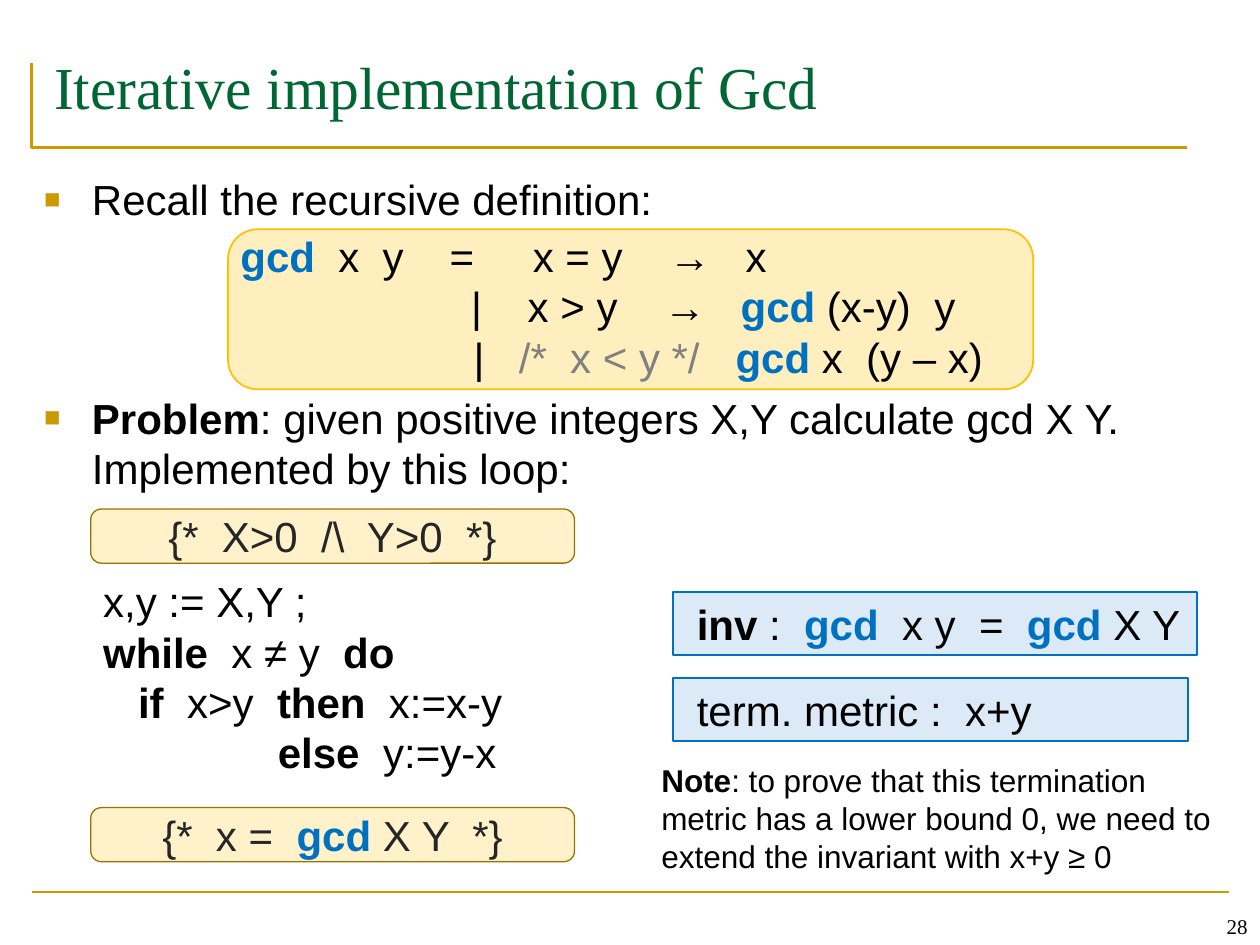
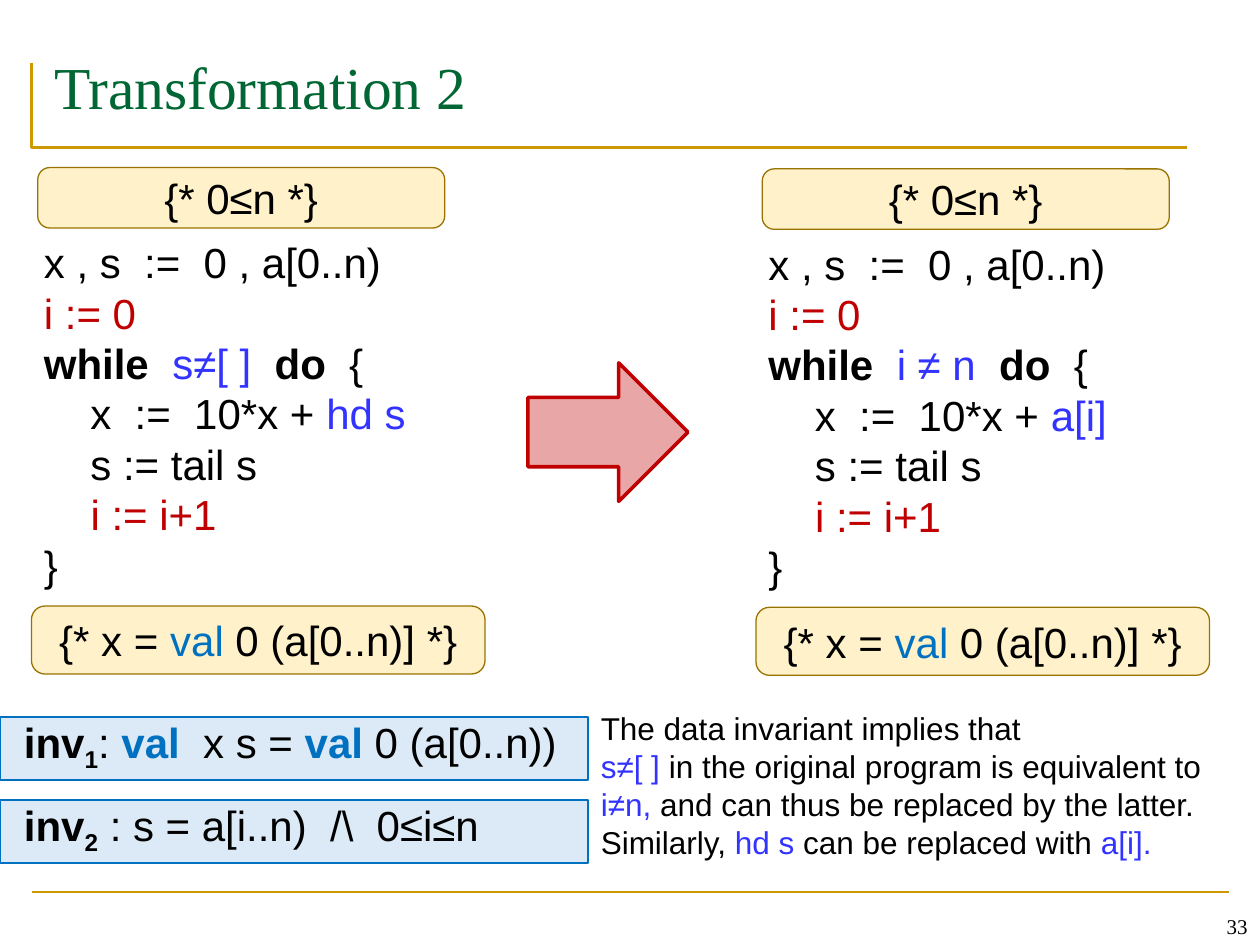
from lxml import etree
from pptx import Presentation
from pptx import util as u
from pptx.dml.color import RGBColor
from pptx.enum import shapes, text
from pptx.oxml import ns

# Colours and fonts
BLACK = RGBColor(0x00, 0x00, 0x00)
DARK = RGBColor(0x26, 0x26, 0x26)
GREY = RGBColor(0x80, 0x80, 0x80)
GREEN = RGBColor(0x00, 0x66, 0x33)
GOLD = RGBColor(0xCC, 0x99, 0x00)
AMBER = RGBColor(0xFF, 0xC0, 0x00)
SAND = RGBColor(0xFF, 0xD1, 0x47)
BROWN = RGBColor(0x99, 0x73, 0x00)
BLUE = RGBColor(0x00, 0x70, 0xC0)
INDIGO = RGBColor(0x33, 0x33, 0xFF)
RED = RGBColor(0xC0, 0x00, 0x00)
SANS, SERIF = "Arial", "Times New Roman"
LEADING = 1.2

# Span styles: colour, bold, subscript
STYLES = {
    "plain": (BLACK, False, False),
    "bold": (BLACK, True, False),
    "sub": (BLACK, True, True),
    "dark": (DARK, False, False),
    "grey": (GREY, False, False),
    "call": (BLUE, True, False),
    "value": (BLUE, False, False),
    "changed": (INDIGO, False, False),
    "added": (RED, False, False),
}

# Looks of filled shapes: fill, opacity in percent, line, line width
DEFINITION = (AMBER, 25, AMBER, 1)
ASSERTION = (SAND, 29, BROWN, 0.75)
INVARIANT = (BLUE, 14, BLUE, 1)
ARROW = (RED, 35, RED, 2)

# Slide 28: a paragraph is a list of (text, style) spans, or one plain string
GCD_BULLETS = [
    ["Recall the recursive definition:"],
    [("Problem", "bold"), ": given positive integers X,Y calculate gcd X Y. "
     "Implemented by this loop:"],
]
GCD_BULLET_GAP = 96
GCD_DEFINITION = [
    [("gcd", "call"), "  x  y\t=\tx = y\t→\tx"],
    ["\t|\tx > y\t→\t", ("gcd", "call"), " (x-y)  y"],
    ["\t|\t", ("/*  x < y */", "grey"), "\t", ("gcd", "call"), " x  (y – x)"],
]
GCD_TABS = [(1.66, 2.32, 3.4, 4.01), (1.83, 2.28, 3.36, 3.97), (1.85, 2.21, 3.93)]
GCD_ASSERTIONS = [
    (4.04, [[("{*  X>0  /\\  Y>0  *}", "dark")]]),
    (6.41, [[("{*  x =  ", "dark"), ("gcd", "call"), (" X Y  *}", "dark")]]),
]
GCD_LOOP = [
    ["x,y := X,Y ;"],
    [("while", "bold"), "  x ≠ y  ", ("do", "bold")],
    [("   if", "bold"), "  x>y  ", ("then", "bold"), "  x:=x-y"],
    [("               else", "bold"), "  y:=y-x"],
]
GCD_INVARIANTS = [
    (4.7, 4.16, [[("inv", "bold"), " :  ", ("gcd", "call"), "  x y  =  ",
                  ("gcd", "call"), " X Y"]]),
    (5.38, 4.09, [["term. metric :  x+y"]]),
]
GCD_NOTE = [[("Note", "bold"), ": to prove that this termination metric has a lower "
             "bound 0, we need to extend the invariant with x+y ≥ 0"]]

# Slide 33: the two programs differ only in the guard and in the digit read
PROGRAMS = [  # left, top shift, guard, digit
    (0.25, 0, "s≠[ ]  ", "hd s"),
    (6, 0.01, "i ≠ n  ", "a[i]"),
]
PRECONDITION = [["{* 0≤n *}"]]
POSTCONDITION = [["{* x = ", ("val", "value"), " 0 (a[0..n)] *}"]]
ARRAY_INVARIANTS = [
    (5.69, [[("inv", "bold"), ("1", "sub"), ": ", ("val", "call"), "  x s = ",
             ("val", "call"), " 0 (a[0..n))"]]),
    (6.35, [[("inv", "bold"), ("2", "sub"), " : s = a[i..n)  /\\  0≤i≤n"]]),
]
ARRAY_NOTE = [
    ["The data invariant implies that"],
    [("s≠[ ] ", "changed"), "in the original program is equivalent to ",
     ("i≠n, ", "changed"), "and can thus be replaced by the latter. Similarly, ",
     ("hd s", "changed"), " can be replaced with ", ("a[i].", "changed")],
]


def program_lines(guard, digit):
    return [
        ["x , s  :=  0 , a[0..n)"],
        [("i := 0", "added")],
        [("while  ", "bold"), (guard, "changed"), ("do", "bold"), "  {"],
        ["    x  :=  10*x + ", (digit, "changed")],
        ["    s := tail s"],
        ["    ", ("i := i+1", "added")],
        ["}"],
    ]


def inches(*lengths):
    return [u.Inches(length) for length in lengths]


def style_font(font, name, size, colour, bold=False):
    font.name, font.size, font.bold = name, u.Pt(size), bold
    font.color.rgb = colour


def add_child(parent, tag, **attributes):
    child = etree.SubElement(parent, ns.qn(tag))
    for key, value in attributes.items():
        child.set(key, str(value))
    return child


def write_spans(para, spans, size):
    for span in spans:
        words, style = (span, "plain") if isinstance(span, str) else span
        colour, bold, subscript = STYLES[style]
        run = para.add_run()
        run.text = words
        style_font(run.font, SANS, size, colour, bold)
        if subscript:
            run._r.get_or_add_rPr().set("baseline", "-25000")
    para.line_spacing = u.Pt(size * LEADING)


def write_paragraphs(frame, paragraphs, size=24, align=text.PP_ALIGN.LEFT):
    for number, spans in enumerate(paragraphs):
        para = frame.add_paragraph() if number else frame.paragraphs[0]
        para.alignment = align
        write_spans(para, spans, size)


def add_text(page, place, paragraphs, size=24, wrap=False):
    box = page.shapes.add_textbox(*inches(*place))
    box.text_frame.word_wrap = wrap
    write_paragraphs(box.text_frame, paragraphs, size)
    return box


def add_panel(page, preset, place, look):
    fill, opacity, line, width = look
    panel = page.shapes.add_shape(preset, *inches(*place))
    panel.shadow.inherit = False
    panel.fill.solid()
    panel.fill.fore_color.rgb = fill
    colour = panel._element.spPr.find(ns.qn("a:solidFill"))[0]
    add_child(colour, "a:alpha", val=opacity * 1000)
    panel.line.color.rgb = line
    panel.line.width = u.Pt(width)
    return panel


def add_assertion(page, place, paragraphs):
    panel = add_panel(page, shapes.MSO_SHAPE.ROUNDED_RECTANGLE, place, ASSERTION)
    panel.adjustments[0] = 0.2
    panel.text_frame.vertical_anchor = text.MSO_ANCHOR.MIDDLE
    write_paragraphs(panel.text_frame, paragraphs, align=text.PP_ALIGN.CENTER)


def add_invariant(page, place, paragraphs):
    panel = add_panel(page, shapes.MSO_SHAPE.RECTANGLE, place, INVARIANT)
    frame = panel.text_frame
    frame.vertical_anchor = text.MSO_ANCHOR.TOP
    frame.margin_left, frame.margin_right = inches(0.19, 0)
    write_paragraphs(frame, paragraphs)


def add_bullets(body, paragraphs, gap):
    body.left, body.top, body.width, body.height = inches(0.25, 1.33, 9.5, 5.67)
    frame = body.text_frame
    frame.auto_size = text.MSO_AUTO_SIZE.NONE
    for number, spans in enumerate(paragraphs):
        para = frame.add_paragraph() if number else frame.paragraphs[0]
        props = para._p.get_or_add_pPr()
        props.set("marL", str(u.Inches(0.38)))
        props.set("indent", str(-u.Inches(0.38)))
        add_child(add_child(props, "a:buClr"), "a:srgbClr", val=GOLD)
        add_child(props, "a:buSzPct", val=65000)
        add_child(props, "a:buFont", typeface=SANS)
        add_child(props, "a:buChar", char="■")
        para.space_before = u.Pt(gap if number else 0)
        write_spans(para, spans, 24)


def start_page(deck, layout, heading, number):
    """Add a slide with the shared title, rules and slide number."""
    page = deck.slides.add_slide(deck.slide_layouts[layout])

    # Corner rule and footer rule
    outline = page.shapes.build_freeform(*inches(0.25, 0.5))
    outline.add_line_segments([inches(0.25, 1.17), inches(9.42, 1.17)], close=False)
    corner = outline.convert_to_shape()
    corner.shadow.inherit = False
    corner.fill.background()
    footer = page.shapes.add_connector(
        shapes.MSO_CONNECTOR.STRAIGHT, *inches(0.25, 7.08, 9.75, 7.08))
    add_child(footer._element.spPr, "a:effectLst")
    for rule in (corner, footer):
        rule.line.color.rgb = GOLD
        rule.line.width = u.Pt(1.5)

    # Title
    title = page.shapes.title
    title.left, title.top, title.width, title.height = inches(0.33, 0.3, 9.33, 0.86)
    frame = title.text_frame
    frame.text = heading
    frame.auto_size = text.MSO_AUTO_SIZE.NONE
    frame.vertical_anchor = text.MSO_ANCHOR.MIDDLE
    frame.margin_bottom = u.Inches(0.15)
    frame.paragraphs[0].alignment = text.PP_ALIGN.LEFT
    style_font(frame.paragraphs[0].runs[0].font, SERIF, 34, GREEN)

    # Slide number
    frame = page.shapes.add_textbox(*inches(7.67, 7, 2.33, 0.5)).text_frame
    frame.word_wrap = True
    frame.vertical_anchor = text.MSO_ANCHOR.BOTTOM
    frame.text = number
    frame.paragraphs[0].alignment = text.PP_ALIGN.RIGHT
    style_font(frame.paragraphs[0].runs[0].font, SERIF, 12, BLACK)
    return page


def build_gcd(deck):
    page = start_page(deck, 1, "Iterative implementation of Gcd", "28")
    add_bullets(page.placeholders[1], GCD_BULLETS, GCD_BULLET_GAP)

    # Recursive definition, its columns held by tab stops
    panel = add_panel(page, shapes.MSO_SHAPE.ROUNDED_RECTANGLE,
                      (1.81, 1.82, 6.39, 1.27), DEFINITION)
    panel.adjustments[0] = 0.185
    box = add_text(page, (1.81, 1.78, 6.39, 1.31), GCD_DEFINITION, wrap=True)
    for para, stops in zip(box.text_frame.paragraphs, GCD_TABS):
        tabs = add_child(para._p.get_or_add_pPr(), "a:tabLst")
        for stop in stops:
            add_child(tabs, "a:tab", pos=u.Inches(stop), algn="l")

    # Annotated loop
    for top, paragraphs in GCD_ASSERTIONS:
        add_assertion(page, (0.72, top, 3.84, 0.43), paragraphs)
    add_text(page, (0.72, 4.52, 3.58, 1.72), GCD_LOOP)

    # Invariant, metric and note
    for top, width, paragraphs in GCD_INVARIANTS:
        add_invariant(page, (5.34, top, width, 0.5), paragraphs)
    add_text(page, (5.15, 5.99, 4.72, 1.01), GCD_NOTE, size=18, wrap=True)


def build_transformation(deck):
    page = start_page(deck, 5, "Transformation 2", "33")

    # Programs before and after, with the arrow between them
    for left, shift, guard, digit in PROGRAMS:
        add_assertion(page, (left + 0.05, 1.33 + shift, 3.23, 0.48), PRECONDITION)
        add_text(page, (left, 1.83 + shift, 3.65, 2.93), program_lines(guard, digit))
        add_assertion(page, (left, 4.81 + shift, 3.6, 0.54), POSTCONDITION)
    add_panel(page, shapes.MSO_SHAPE.RIGHT_ARROW, (4.19, 2.88, 1.27, 1.1), ARROW)

    # Invariants and note
    for top, paragraphs in ARRAY_INVARIANTS:
        add_invariant(page, (0, top, 4.67, 0.5), paragraphs)
    add_text(page, (4.67, 5.58, 5.33, 1.31), ARRAY_NOTE, size=18, wrap=True)


def main():
    deck = Presentation()
    deck.slide_width, deck.slide_height = inches(10, 7.5)
    build_gcd(deck)
    build_transformation(deck)
    deck.save("out.pptx")


if __name__ == "__main__":
    main()
